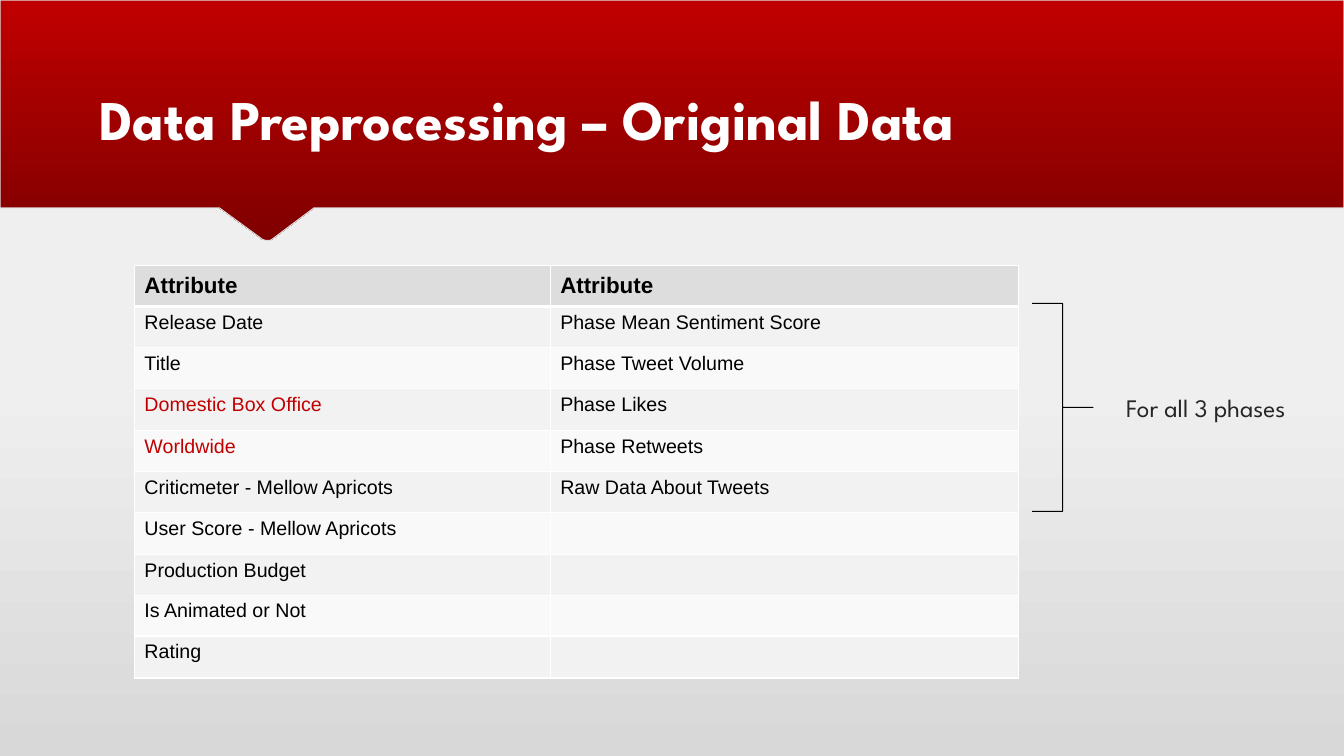
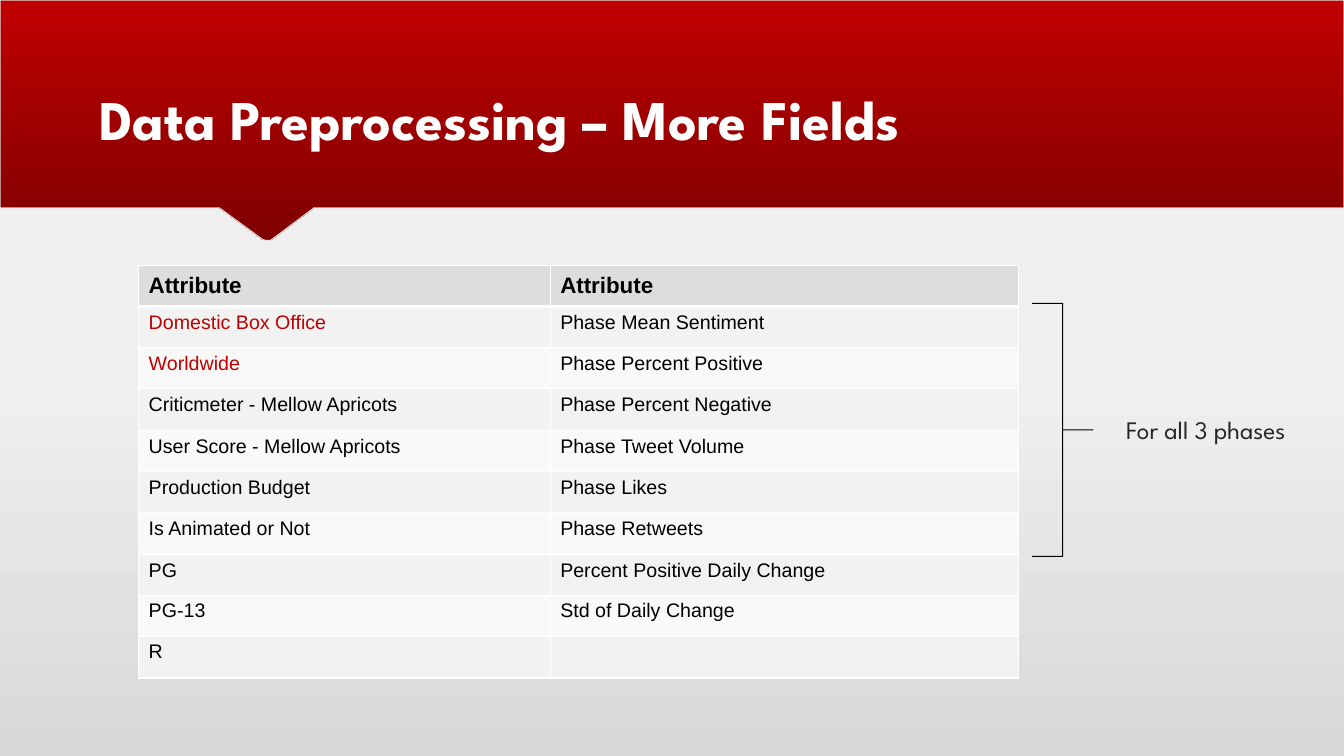
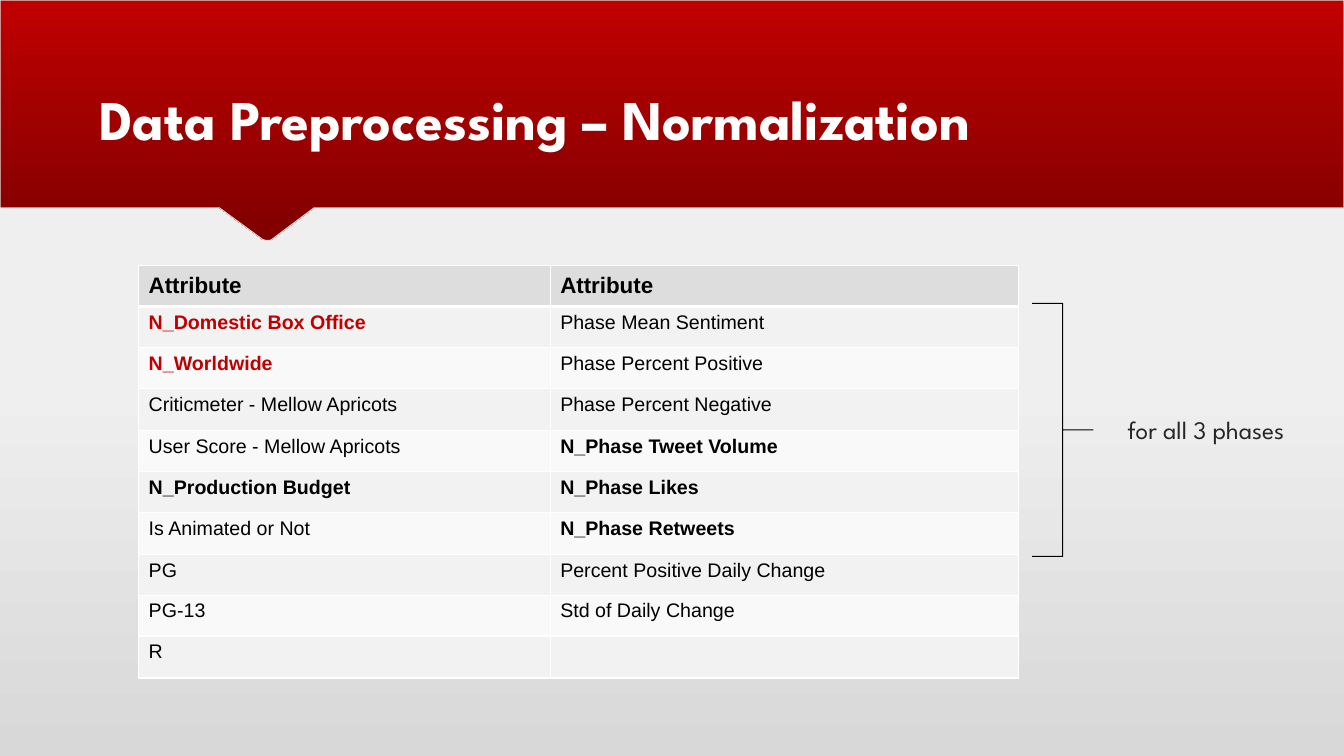
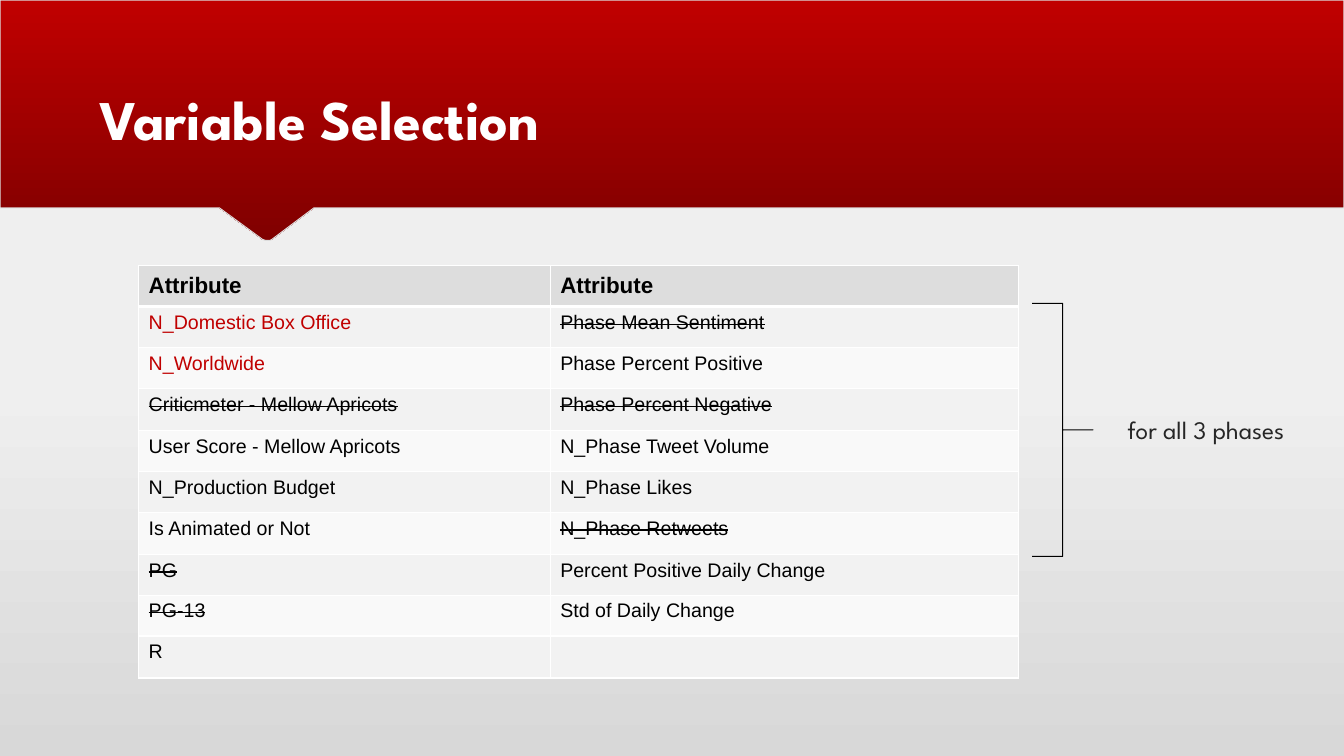
"""Build four slides on how the film data fields were prepared and selected."""
from lxml.etree import SubElement
from pptx import Presentation
from pptx.dml.color import RGBColor
from pptx.enum.shapes import MSO_SHAPE as Shape
from pptx.enum.text import MSO_ANCHOR as Anchor, PP_ALIGN as Align
from pptx.oxml.ns import qn
from pptx.util import Pt

PX = 9525
WIDTH, HEIGHT = 1280, 720
COLORS = {
    "band_top": "C00000", "band_bottom": "800000", "band_line": "DDDDDD",
    "page_top": "EFEFEF", "page_bottom": "D8D8D8",
    "header": "DDDDDD", "odd_row": "F2F2F2", "even_row": "F9F9F9",
    "white": "FFFFFF", "black": "000000", "note": "262626", "target": "C00000",
}
FORMATS = {
    "title": {"name": "League Spartan", "size": Pt(40), "bold": True},
    "note": {"name": "League Spartan", "size": Pt(18)},
    "header": {"name": "Arial", "size": Pt(16), "bold": True},
    "cell": {"name": "Arial", "size": Pt(14), "bold": False},
}
BAND_OUTLINE = [(0, 0), (0, 198), (209, 198), (250, 228), (253, 229), (257, 229),
                (259, 228), (299, 198), (WIDTH, 198)]
TABLE_TOP, TABLE_HEIGHT, TABLE_SPLIT, TABLE_RIGHT = 253, 393, 524, 970
BRACE_TOP = 289

ORIGINAL = (
    ["Release Date", "Title", "Domestic Box Office", "Worldwide",
     "Criticmeter - Mellow Apricots", "User Score - Mellow Apricots",
     "Production Budget", "Is Animated or Not", "Rating"],
    ["Phase Mean Sentiment Score", "Phase Tweet Volume", "Phase Likes",
     "Phase Retweets", "Raw Data About Tweets"],
)
EXTENDED = (
    ["Domestic Box Office", "Worldwide", "Criticmeter - Mellow Apricots",
     "User Score - Mellow Apricots", "Production Budget", "Is Animated or Not",
     "PG", "PG-13", "R"],
    ["Phase Mean Sentiment", "Phase Percent Positive", "Phase Percent Negative",
     "Phase Tweet Volume", "Phase Likes", "Phase Retweets",
     "Percent Positive Daily Change", "Std of Daily Change"],
)
TARGETS = {"Domestic Box Office", "Worldwide"}
SCALED = TARGETS | {"Production Budget", "Phase Tweet Volume", "Phase Likes", "Phase Retweets"}
NORMALIZED = tuple(["N_" + field if field in SCALED else field for field in column]
                   for column in EXTENDED)
NORMALIZED_NAMES = {"N_" + field for field in SCALED}
DROPPED = {"Criticmeter - Mellow Apricots", "PG", "PG-13", "Phase Mean Sentiment",
           "Phase Percent Negative", "N_Phase Retweets"}


def rgb(name):
    return RGBColor.from_string(COLORS[name])


def box(*lengths):
    return [length * PX for length in lengths]


class Deck:
    def __init__(self):
        self.presentation = Presentation()
        self.presentation.slide_width, self.presentation.slide_height = box(WIDTH, HEIGHT)
        self.slide = None

    def gradient(self, fill, top, bottom, start=0):
        fill.gradient()
        fill.gradient_angle = 270
        for stop, color, position in zip(fill.gradient_stops, (top, bottom), (start, 1)):
            stop.color.rgb = rgb(color)
            stop.position = position

    def add_text(self, paragraph, text, style, color):
        run = paragraph.add_run()
        run.text = text
        for attribute, value in FORMATS[style].items():
            setattr(run.font, attribute, value)
        run.font.color.rgb = rgb(color)
        return run

    def text_box(self, bounds, text, style, color, align=Align.LEFT, anchor=Anchor.TOP):
        frame = self.slide.shapes.add_textbox(*box(*bounds)).text_frame
        frame.word_wrap = True
        frame.vertical_anchor = anchor
        frame.paragraphs[0].alignment = align
        return self.add_text(frame.paragraphs[0], text, style, color)

    def outline(self, shape, color):
        shape.shadow.inherit = False
        shape.line.color.rgb = rgb(color)
        shape.line.width = Pt(0.75)

    def band(self):
        builder = self.slide.shapes.build_freeform(WIDTH, 0, scale=PX)
        builder.add_line_segments(BAND_OUTLINE, close=True)
        shape = builder.convert_to_shape()
        self.gradient(shape.fill, "band_top", "band_bottom")
        self.outline(shape, "band_line")

    def title(self, text):
        run = self.text_box((85, 47, 1110, 102), text, "title", "white", anchor=Anchor.BOTTOM)
        properties = run._r.get_or_add_rPr()
        effects = properties.makeelement(qn("a:effectLst"), {})
        properties.find(qn("a:solidFill")).addnext(effects)
        shadow = SubElement(effects, qn("a:outerShdw"), blurRad="38100", dist="38100", dir="2700000")
        color = SubElement(shadow, qn("a:srgbClr"), val=COLORS["black"])
        SubElement(color, qn("a:alpha"), val="43000")

    def add_slide(self, title):
        self.slide = self.presentation.slides.add_slide(self.presentation.slide_layouts[6])
        self.gradient(self.slide.background.fill, "page_top", "page_bottom", 0.51)
        self.band()
        self.title(title)

    def borders(self, cell, row):
        properties = cell._tc.get_or_add_tcPr()
        widths = {"L": 1, "R": 1, "T": 3 if row == 1 else 1, "B": 3 if row == 0 else 1}
        for side, width in widths.items():
            line = SubElement(properties, qn("a:ln" + side), w=str(int(Pt(width))))
            SubElement(SubElement(line, qn("a:solidFill")), qn("a:srgbClr"), val=COLORS["white"])

    def cell(self, cell, row, text, bold, struck):
        self.borders(cell, row)
        cell.fill.solid()
        cell.fill.fore_color.rgb = rgb("header" if row == 0 else "odd_row" if row % 2 else "even_row")
        cell.vertical_anchor = Anchor.TOP if row else Anchor.MIDDLE
        if not text:
            return
        color = "target" if text.removeprefix("N_") in TARGETS else "black"
        run = self.add_text(cell.text_frame.paragraphs[0], text, "cell" if row else "header", color)
        if text in bold:
            run.font.bold = True
        if text in struck:
            run._r.get_or_add_rPr().set("strike", "sngStrike")

    def table(self, left, fields, bold=(), struck=()):
        count = 1 + max(len(column) for column in fields)
        bounds = box(left, TABLE_TOP, TABLE_RIGHT - left, TABLE_HEIGHT)
        table = self.slide.shapes.add_table(count, len(fields), *bounds).table
        table.horz_banding = False
        edges = [TABLE_HEIGHT * index // count for index in range(count + 1)]
        for row, top, bottom in zip(table.rows, edges, edges[1:]):
            row.height = (bottom - top) * PX
        for column, width in zip(table.columns, (TABLE_SPLIT - left, TABLE_RIGHT - TABLE_SPLIT)):
            column.width = width * PX
        for index, column in enumerate(fields):
            texts = ["Attribute", *column] + [""] * (count - 1 - len(column))
            for row, text in enumerate(texts):
                self.cell(table.cell(row, index), row, text, bold, struck)

    def brace(self, height, note):
        shape = self.slide.shapes.add_shape(Shape.RIGHT_BRACE, *box(983, BRACE_TOP, 58, height))
        shape.adjustments[0], shape.adjustments[1] = 0, 0.5
        shape.fill.background()
        self.outline(shape, "black")
        middle = BRACE_TOP + height // 2
        self.text_box((1040, middle - 19, 217, 38), note, "note", "note", Align.CENTER)


def main():
    deck = Deck()
    slides = [
        ("Data Preprocessing – Original Data", 128, ORIGINAL, {}, 198, "For all 3 phases"),
        ("Data Preprocessing – More Fields", 132, EXTENDED, {}, 241, "For all 3 phases"),
        ("Data Preprocessing – Normalization", 132, NORMALIZED, {"bold": NORMALIZED_NAMES},
         241, "for all 3 phases"),
        ("Variable Selection", 132, NORMALIZED, {"struck": DROPPED}, 241, "for all 3 phases"),
    ]
    for title, left, fields, marks, brace_height, note in slides:
        deck.add_slide(title)
        deck.table(left, fields, **marks)
        deck.brace(brace_height, note)
    deck.presentation.save("out.pptx")


if __name__ == "__main__":
    main()
